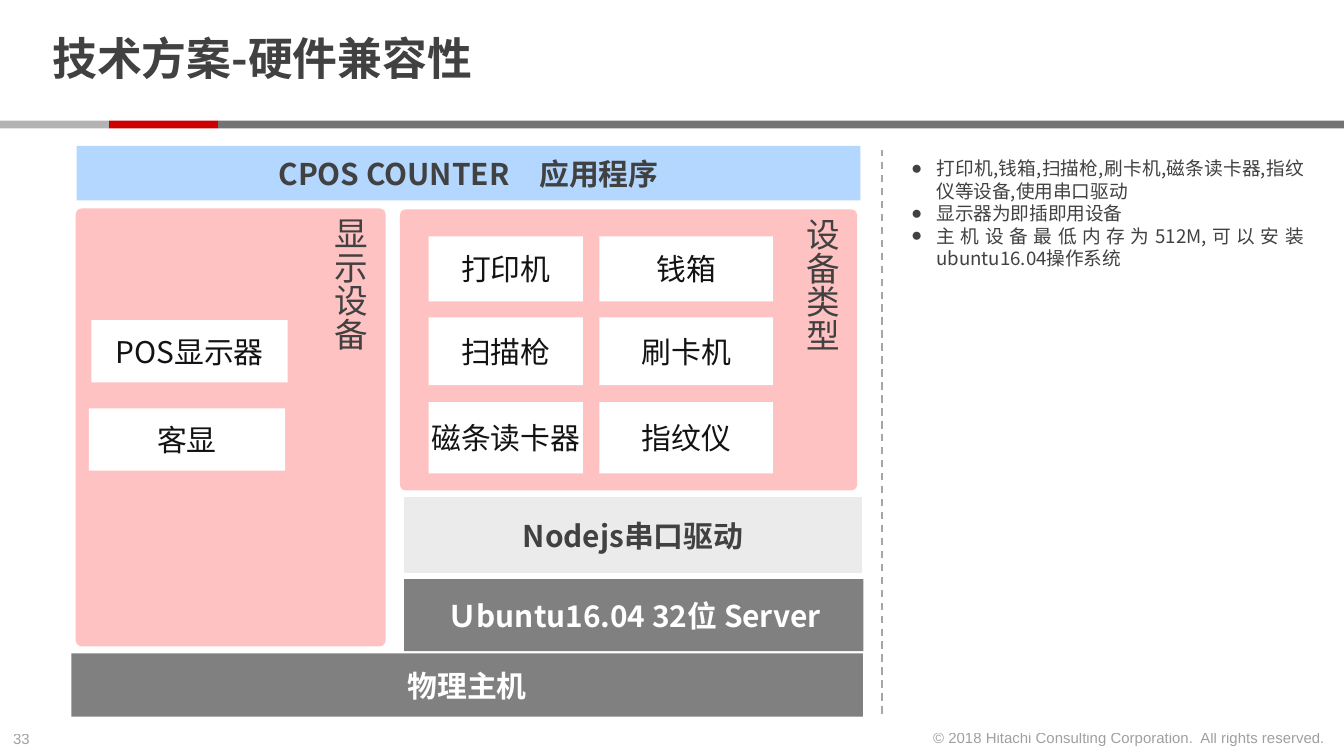
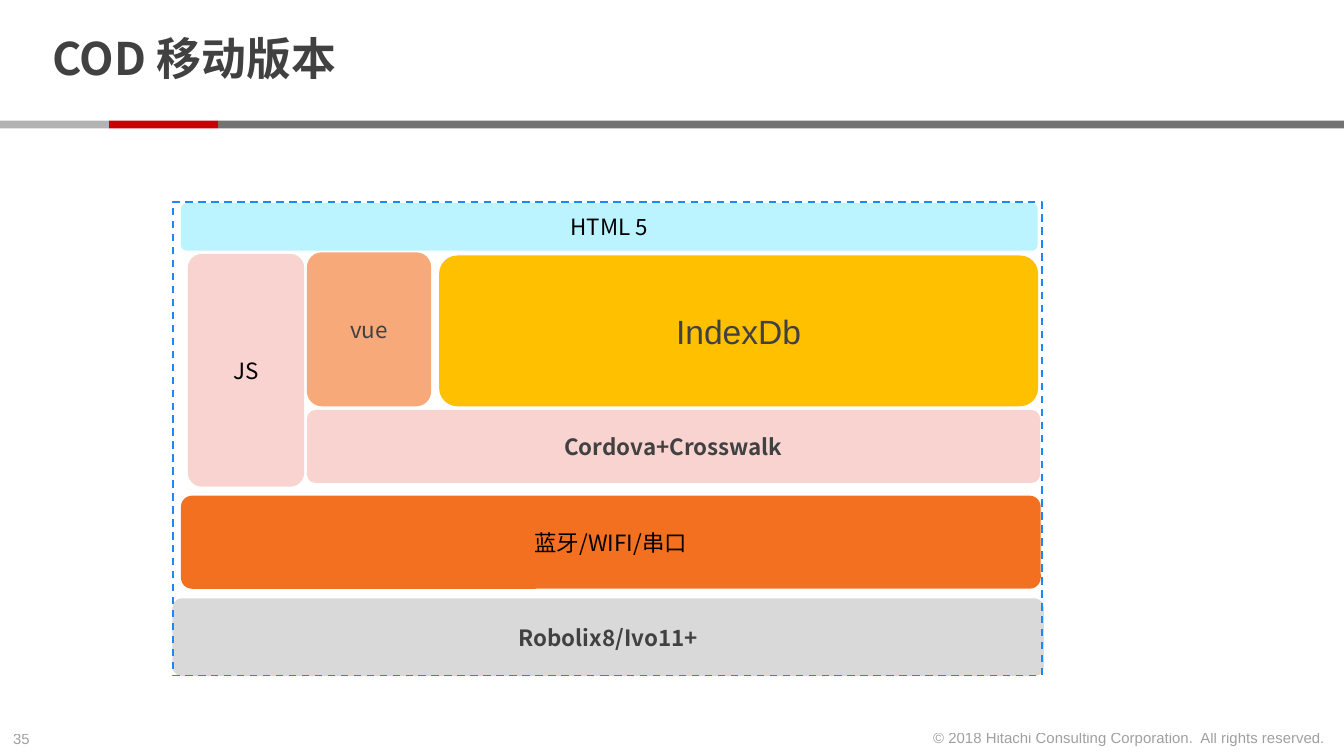
from dataclasses import dataclass

from lxml import etree
from pptx import Presentation
from pptx import util as u
from pptx.dml.color import RGBColor
from pptx.enum import dml, shapes, text
from pptx.oxml import ns

RECT = shapes.MSO_SHAPE.RECTANGLE
ROUND = shapes.MSO_SHAPE.ROUNDED_RECTANGLE
ALIGN = text.PP_ALIGN
ANCHOR = text.MSO_ANCHOR


@dataclass(frozen=True)
class Theme:
    sans: str = "Noto Sans CJK SC"
    arial: str = "Arial"
    ink: str = "414141"
    near_black: str = "141313"
    black: str = "000000"
    white: str = "FFFFFF"
    band_dark: str = "737373"
    band_red: str = "CC0000"
    band_light: str = "B3B3B3"
    divider: str = "A6A6A6"
    app: str = "B3D7FF"
    panel: str = "FFC2C2"
    driver: str = "EBEBEB"
    host: str = "808080"
    html: str = "BBF4FF"
    rose: str = "F9D3D0"
    peach: str = "F8A97A"
    amber: str = "FFC000"
    orange: str = "F37021"
    platform: str = "D9D9D9"
    frame: str = "1B88FF"
    title_pt: int = 24
    panel_pt: int = 18
    block_pt: int = 16
    layer_pt: int = 12
    note_pt: int = 10
    footer_pt: int = 8


T = Theme()
SLIDE_W, SLIDE_H = 25.4, 14.29
INSETS = (0.25, 0.13, 0.25, 0.13)
COPYRIGHT = "© 2018 Hitachi Consulting Corporation.\u00a0 All rights reserved."


def rgb(color):
    return RGBColor.from_string(color)


def sub(parent, tag, **attrs):
    return etree.SubElement(parent, ns.qn(tag), attrs)


def cm_box(box):
    return [u.Cm(v) for v in box]


def add_bullet(p, indent=0.48):
    pPr = p._p.get_or_add_pPr()
    pPr.set("marL", str(u.Cm(indent)))
    pPr.set("indent", str(-u.Cm(indent)))
    sub(pPr, "a:buFont", typeface=T.arial)
    sub(pPr, "a:buChar", char="●")


def write(sp, *lines, size=T.block_pt, font=T.sans, color=T.ink, bold=False,
          align=ALIGN.CENTER, anchor=ANCHOR.MIDDLE, insets=INSETS, wrap=True,
          alpha=None, bullet=False, spacing=None, vertical=False, grow=False):
    """Fill a shape or text box with one paragraph per line."""
    tf = sp.text_frame
    tf.word_wrap = wrap
    tf.vertical_anchor = anchor
    tf.margin_left, tf.margin_top, tf.margin_right, tf.margin_bottom = cm_box(insets)
    if grow:
        tf.auto_size = text.MSO_AUTO_SIZE.SHAPE_TO_FIT_TEXT
    if vertical:
        tf._txBody.bodyPr.set("vert", "eaVert")
    for i, line in enumerate(lines):
        p = tf.add_paragraph() if i else tf.paragraphs[0]
        p.alignment = align
        if spacing:
            p.line_spacing = spacing
        if bullet:
            add_bullet(p)
        r = p.add_run()
        r.text = line
        r.font.size, r.font.bold, r.font.name = u.Pt(size), bold, font
        r.font.color.rgb = rgb(color)
        rPr = r._r.get_or_add_rPr()
        sub(rPr, "a:ea", typeface=T.sans)
        if alpha is not None:
            clr = rPr.find(".//" + ns.qn("a:srgbClr"))
            sub(clr, "a:alpha", val=str(alpha * 1000))


def add_text(slide, box, *lines, **fmt):
    sp = slide.shapes.add_textbox(*cm_box(box))
    write(sp, *lines, **fmt)


def add_block(slide, box, fill, label=None, kind=RECT, radius=None, **fmt):
    sp = slide.shapes.add_shape(kind, *cm_box(box))
    sp.shadow.inherit = False
    sp.fill.solid()
    sp.fill.fore_color.rgb = rgb(fill)
    sp.line.fill.background()
    if radius is not None:
        sp.adjustments[0] = radius
    if label:
        write(sp, label, **fmt)


def add_panel(slide, box, label):
    add_block(slide, box, T.panel, label, kind=ROUND, radius=0.02, vertical=True,
              size=T.panel_pt, font=T.arial, anchor=ANCHOR.TOP)


def add_device(slide, box, label):
    add_block(slide, box, T.white, label, color=T.near_black,
              insets=(0, 0.13, 0, 0.13))


def add_layer(slide, box, fill, label, **fmt):
    fmt = {"size": T.layer_pt, **fmt}
    add_block(slide, box, fill, label, kind=ROUND, radius=0.12, wrap=False, **fmt)


def dash_line(line, color):
    line.color.rgb = rgb(color)
    line.width = u.Pt(1)
    line.dash_style = dml.MSO_LINE.DASH


def add_divider(slide, x, top, bottom):
    c = slide.shapes.add_connector(shapes.MSO_CONNECTOR.STRAIGHT,
                                   *cm_box((x, bottom, x, top)))
    dash_line(c.line, T.divider)
    sub(c._element.spPr, "a:effectLst")


def add_frame(slide, box):
    sp = slide.shapes.add_shape(RECT, *cm_box(box))
    sp.shadow.inherit = False
    sp.fill.background()
    dash_line(sp.line, T.frame)


def new_slide(prs, title, number):
    """Add a slide with the shared title, colour band and footer."""
    slide = prs.slides.add_slide(prs.slide_layouts[6])
    footer = dict(size=T.footer_pt, font=T.arial, alpha=50, wrap=False,
                  anchor=ANCHOR.TOP, grow=True)
    add_text(slide, (0, 13.67, 0.86, 0.6), number, align=ALIGN.LEFT, **footer)
    step = 2.06
    for x, w, color in ((2 * step, SLIDE_W - 2 * step, T.band_dark),
                        (step, step, T.band_red), (0, step, T.band_light)):
        add_block(slide, (x, 2.28, w, 0.15), color)
    add_text(slide, (17.27, 13.65, 8.03, 0.6), COPYRIGHT, align=ALIGN.RIGHT, **footer)
    add_text(slide, (0.74, 0.15, 19.58, 2.03), title, size=T.title_pt, bold=True,
             align=ALIGN.LEFT, insets=(0.25, 0, 0.25, 0), spacing=0.85)
    return slide


def hardware_slide(prs):
    slide = new_slide(prs, "技术方案-硬件兼容性", "33")
    add_divider(slide, 16.67, 2.84, 13.49)

    add_panel(slide, (7.56, 3.96, 8.64, 5.31), "设备类型")
    columns = ((8.1, 2.92), (11.33, 3.28))
    rows = ((4.47, 1.23), (6, 1.28), (7.6, 1.35))
    devices = (("打印机", "钱箱"), ("扫描枪", "刷卡机"), ("磁条读卡器", "指纹仪"))
    for (y, h), names in zip(rows, devices):
        for (x, w), name in zip(columns, names):
            add_device(slide, (x, y, w, h), name)

    for box, fill, label, color in (
            ((1.45, 2.76, 14.81, 1.03), T.app, "CPOS COUNTER\u3000应用程序", T.ink),
            ((7.64, 10.95, 8.68, 1.36), T.host, "Ｕbuntu16.04 32位 Server", T.white),
            ((7.64, 9.4, 8.65, 1.43), T.driver, "Nodejs串口驱动", T.ink),
            ((1.35, 12.35, 14.96, 1.2), T.host, "物理主机", T.white)):
        add_block(slide, box, fill, label, color=color, bold=True)

    add_panel(slide, (1.43, 3.94, 5.86, 8.28), "显示设备")
    add_device(slide, (1.73, 6.05, 3.71, 1.18), "POS显示器")
    add_device(slide, (1.68, 7.72, 3.71, 1.18), "客显")

    add_text(slide, (16.97, 2.84, 7.92, 2.8),
             "打印机,钱箱,扫描枪,刷卡机,磁条读卡器,指纹仪等设备,使用串口驱动",
             "显示器为即插即用设备",
             "主机设备最低内存为512M,可以安装ubuntu16.04操作系统",
             size=T.note_pt, align=ALIGN.JUSTIFY, anchor=ANCHOR.TOP,
             bullet=True, grow=True)


def mobile_slide(prs):
    slide = new_slide(prs, "COD 移动版本", "35")
    add_layer(slide, (3.55, 4.8, 2.2, 4.4), T.rose, "JS", color=T.black)
    add_layer(slide, (5.8, 4.77, 2.35, 2.91), T.peach, "vue")
    add_layer(slide, (8.3, 4.83, 11.32, 2.85), T.amber, "IndexDb",
              size=T.panel_pt, font=T.arial)
    add_layer(slide, (3.42, 3.84, 16.19, 0.9), T.html, "HTML 5", color=T.black)
    add_layer(slide, (3.42, 9.37, 16.25, 1.76), T.orange, "蓝牙/WIFI/串口",
              color=T.black)
    add_layer(slide, (5.8, 7.75, 13.86, 1.38), T.rose, "Cordova+Crosswalk", bold=True)
    add_layer(slide, (3.26, 11.31, 16.47, 1.47), T.platform, "Robolix8/Ivo11+",
              bold=True)
    add_frame(slide, (3.27, 3.82, 16.42, 8.95))


def main():
    prs = Presentation()
    prs.slide_width, prs.slide_height = u.Cm(SLIDE_W), u.Cm(SLIDE_H)
    hardware_slide(prs)
    mobile_slide(prs)
    prs.save("out.pptx")


if __name__ == "__main__":
    main()
